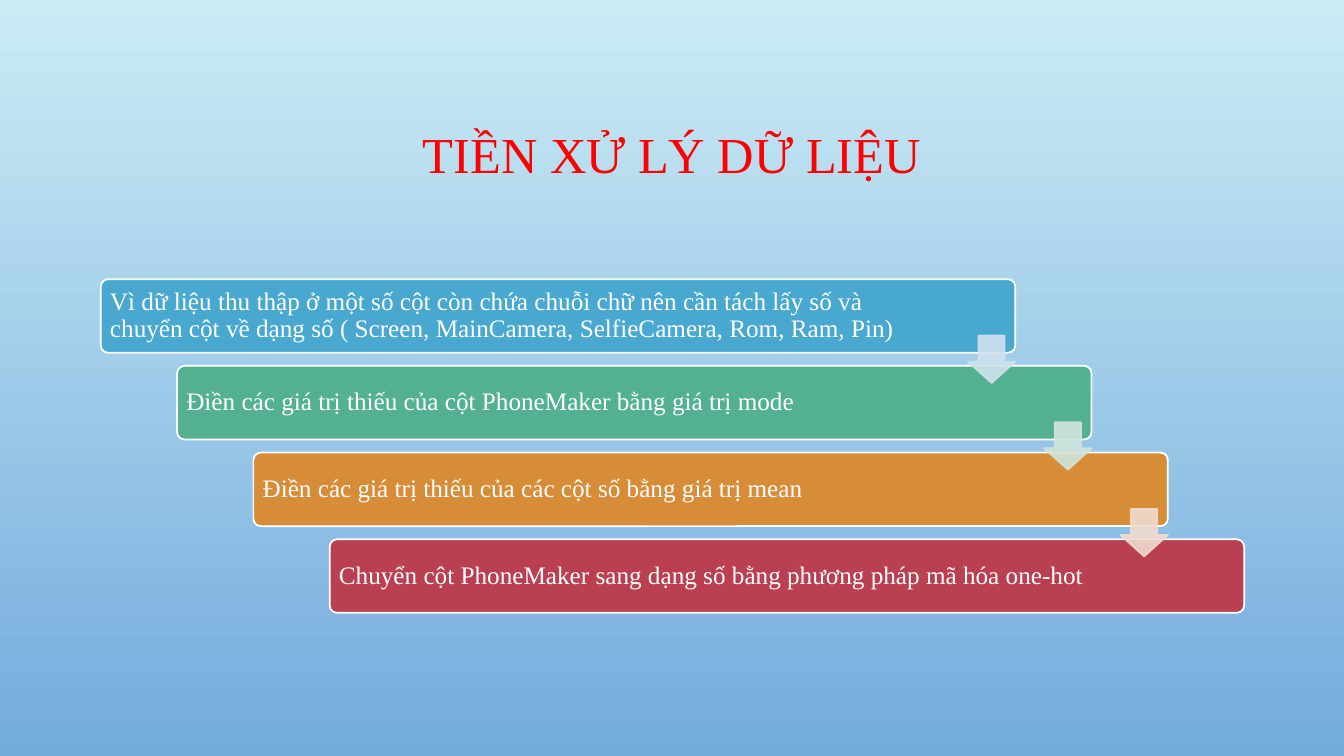
from dataclasses import dataclass

import pptx
import pptx.dml.color
import pptx.enum.shapes
import pptx.enum.text
import pptx.oxml.ns
import pptx.shapes.autoshape
import pptx.slide
import pptx.text.text
import pptx.util
from lxml import etree

Inches = pptx.util.Inches
RGBColor = pptx.dml.color.RGBColor
Kind = pptx.enum.shapes.MSO_SHAPE
Align = pptx.enum.text.PP_ALIGN

SKY = RGBColor(0xCB, 0xEC, 0xF5)
DEEP = RGBColor(0x73, 0xAB, 0xDD)
RED = RGBColor(0xFF, 0x00, 0x00)
WHITE = RGBColor(0xFF, 0xFF, 0xFF)
BLUE = RGBColor(0x48, 0xA8, 0xD0)
GREEN = RGBColor(0x53, 0xB1, 0x8F)
AMBER = RGBColor(0xD7, 0x8D, 0x38)
ROSE = RGBColor(0xBA, 0x3F, 0x51)
PALE_BLUE = RGBColor(0xCF, 0xE1, 0xEE)
PALE_GREEN = RGBColor(0xD1, 0xE4, 0xDB)
PALE_ROSE = RGBColor(0xF0, 0xDB, 0xCE)

FONT = "Times New Roman"
LEFT, TOP = 1.0, 2.77
STEP_X, STEP_Y = 2.27 / 3, 0.86
BAR_W, BAR_H = 9.07, 0.73
ARROW = 0.47


@dataclass
class Step:
    text: str
    fill: RGBColor


STEPS = [
    Step("Vì dữ liệu thu thập ở một số cột còn chứa chuỗi chữ nên cần tách lấy số và "
         "chuyển cột về dạng số ( Screen, MainCamera, SelfieCamera, Rom, Ram, Pin)", BLUE),
    Step("Điền các giá trị thiếu của cột PhoneMaker bằng giá trị mode", GREEN),
    Step("Điền các giá trị thiếu của các cột số bằng giá trị mean", AMBER),
    Step("Chuyển cột PhoneMaker sang dạng số bằng phương pháp mã hóa one-hot", ROSE),
]
ARROWS = [PALE_BLUE, PALE_GREEN, PALE_ROSE]


def write(frame: pptx.text.text.TextFrame, text: str, size: int,
          color: RGBColor, align: Align) -> None:
    frame.word_wrap = True
    frame.vertical_anchor = pptx.enum.text.MSO_ANCHOR.MIDDLE
    para = frame.paragraphs[0]
    para.text = text
    para.alignment = align
    para.line_spacing = 0.9
    para.font.name = FONT
    para.font.size = pptx.util.Pt(size)
    para.font.color.rgb = color


def add_block(slide: pptx.slide.Slide, kind: Kind, x: float, y: float, w: float,
              h: float, fill: RGBColor, line: RGBColor) -> pptx.shapes.autoshape.Shape:
    block = slide.shapes.add_shape(kind, Inches(x), Inches(y), Inches(w), Inches(h))
    block.shadow.inherit = False
    block.fill.solid()
    block.fill.fore_color.rgb = fill
    block.line.color.rgb = line
    block.line.width = pptx.util.Pt(1.25)
    return block


def add_bar(slide: pptx.slide.Slide, i: int, step: Step) -> None:
    bar = add_block(slide, Kind.ROUNDED_RECTANGLE, LEFT + i * STEP_X,
                    TOP + i * STEP_Y, BAR_W, BAR_H, step.fill, WHITE)
    bar.adjustments[0] = 0.1
    frame = bar.text_frame
    frame.margin_left = frame.margin_top = frame.margin_bottom = Inches(0.07)
    frame.margin_right = Inches(0.9)
    write(frame, step.text, 18, WHITE, Align.LEFT)


def add_arrow(slide: pptx.slide.Slide, i: int, color: RGBColor) -> None:
    x = LEFT + BAR_W - ARROW + i * STEP_X
    arrow = add_block(slide, Kind.DOWN_ARROW, x, TOP + 0.56 + i * STEP_Y,
                      ARROW, ARROW, color, color)
    arrow.adjustments[0] = 0.55
    arrow.adjustments[1] = 0.45
    # 90 % opacity on fill and line
    qn = pptx.oxml.ns.qn
    for node in arrow.element.spPr.iter(qn("a:srgbClr")):
        etree.SubElement(node, qn("a:alpha")).set("val", "90000")


def main() -> None:
    deck = pptx.Presentation()
    deck.slide_width, deck.slide_height = Inches(13.33), Inches(7.5)
    slide = deck.slides.add_slide(deck.slide_layouts[6])

    # Background, light at the top
    back = slide.background.fill
    back.gradient()
    back.gradient_angle = 270
    for stop, color, pos in zip(back.gradient_stops, (SKY, DEEP), (0, 1)):
        stop.color.rgb = color
        stop.position = pos

    # Title
    title = slide.shapes.add_textbox(Inches(1), Inches(0.68), Inches(11.33), Inches(1.75))
    write(title.text_frame, "TIỀN XỬ LÝ DỮ LIỆU", 36, RED, Align.CENTER)

    # Staircase of steps, then the arrows over it
    for i, step in enumerate(STEPS):
        add_bar(slide, i, step)
    for i, color in enumerate(ARROWS):
        add_arrow(slide, i, color)

    deck.save("out.pptx")


if __name__ == "__main__":
    main()
